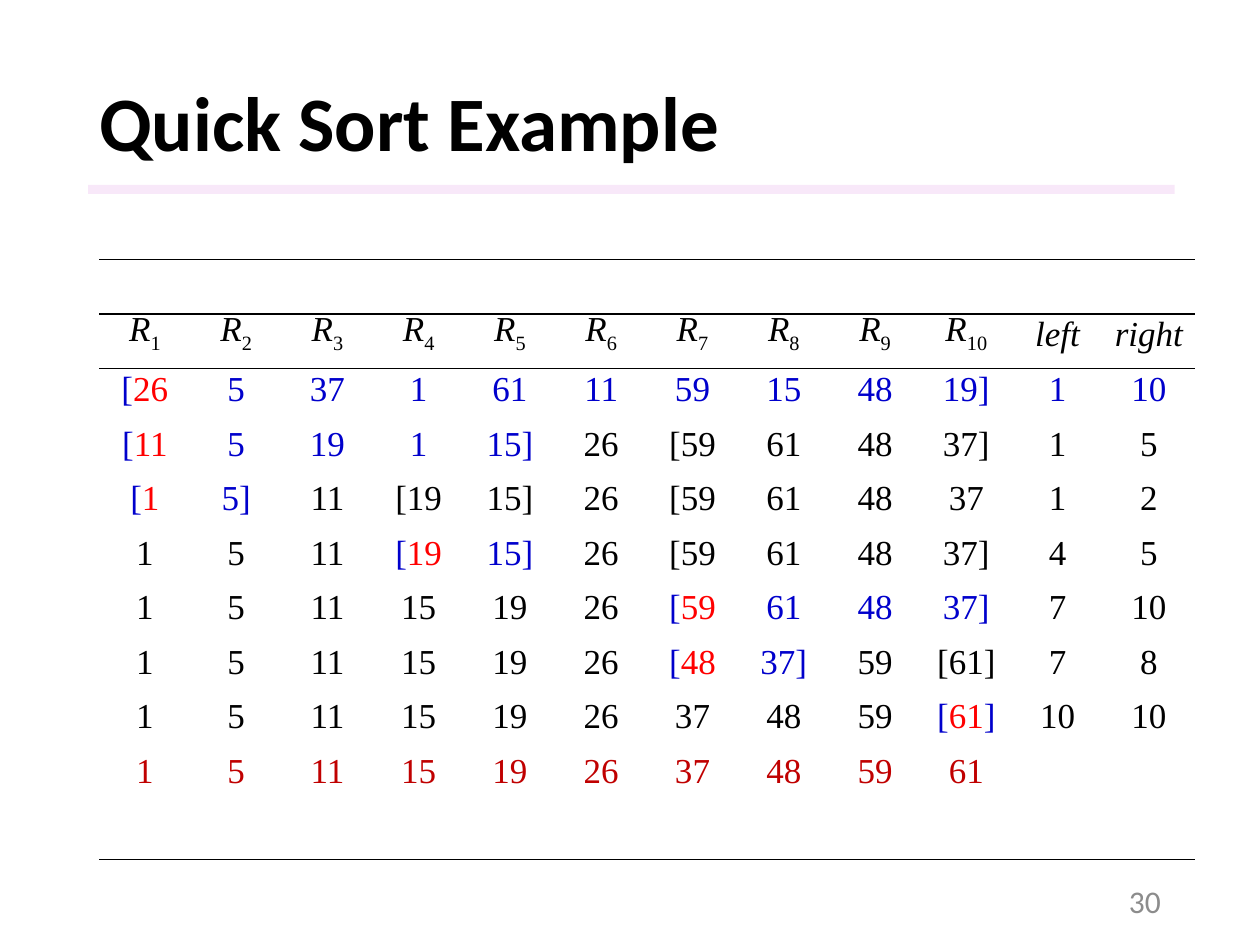
"""Build a slide that traces a quick sort, one pass per table row."""
from lxml import etree
from pptx import Presentation
from pptx import util as u
from pptx.dml.color import RGBColor
from pptx.enum import shapes, text
from pptx.oxml import ns

HUES = {"ink": "000000", "span": "0000CC", "pivot": "FF0000",
        "done": "C00000", "bar": "F3D2F4", "page": "8C8C8C"}
TITLE = "Quick Sort Example"
PAGE = "30"
HEADS = [("R", str(n)) for n in range(1, 11)] + [("left", ""), ("right", "")]
STEPS = [line.split() for line in (
    "[26 5 37 1 61 11 59 15 48 19] 1 10",
    "[11 5 19 1 15] 26 [59 61 48 37] 1 5",
    "[1 5] 11 [19 15] 26 [59 61 48 37 1 2",
    "1 5 11 [19 15] 26 [59 61 48 37] 4 5",
    "1 5 11 15 19 26 [59 61 48 37] 7 10",
    "1 5 11 15 19 26 [48 37] 59 [61] 7 8",
    "1 5 11 15 19 26 37 48 59 [61] 10 10",
)]
DONE = "1 5 11 15 19 26 37 48 59 61".split()
ROWS, COLS = 11, 12
WIDE, HIGH = 1.84, 1.1
PLAIN = "{2D5ABB26-0587-4C30-8999-92F81FD0307C}"


def add_run(para, words, size, face, hue):
    run = para.add_run()
    run.text = words
    run.font.size = u.Pt(size)
    run.font.name = face
    run.font.color.rgb = RGBColor.from_string(HUES[hue])
    return run


def add_label(slide, words, place, size, hue, align):
    box = slide.shapes.add_textbox(*map(u.Cm, place))
    frame = box.text_frame
    frame.word_wrap = True
    frame.vertical_anchor = text.MSO_ANCHOR.MIDDLE
    para = frame.paragraphs[0]
    para.alignment = align
    return add_run(para, words, size, "Calibri", hue)


def add_bar(slide):
    bar = slide.shapes.add_shape(shapes.MSO_SHAPE.RECTANGLE,
                                 *map(u.Cm, (1.78, 3.73, 21.9, 0.18)))
    bar.shadow.inherit = False
    bar.line.fill.background()
    bar.fill.solid()
    bar.fill.fore_color.rgb = RGBColor.from_string(HUES["bar"])
    tone = bar.fill._xPr.find(".//" + ns.qn("a:srgbClr"))
    etree.SubElement(tone, ns.qn("a:alpha"), val="50000")


def add_edge(cell, side):
    edge = etree.SubElement(cell._tc.get_or_add_tcPr(), ns.qn("a:" + side), w="12700")
    fill = etree.SubElement(edge, ns.qn("a:solidFill"))
    etree.SubElement(fill, ns.qn("a:srgbClr"), val=HUES["ink"])


def fill_cell(cell, parts):
    cell.margin_left = cell.margin_right = u.Cm(0.18)
    cell.margin_top = cell.margin_bottom = 0
    cell.vertical_anchor = text.MSO_ANCHOR.MIDDLE
    para = cell.text_frame.paragraphs[0]
    para.alignment = text.PP_ALIGN.CENTER
    para.line_spacing = u.Pt(15)
    return [add_run(para, words, 20, "Times New Roman", hue)
            for words, hue in parts if words]


def split_step(step, first):
    """Colour the active span, with its first number as the pivot."""
    left, right = map(int, step[-2:])
    for col, word in enumerate(step, 1):
        if col == left:
            num = word.strip("[]")
            head, tail = word.split(num)
            yield [(head, "span"), (num, "pivot"), (tail, "span")]
        else:
            yield [(word, "span" if first or left < col <= right else "ink")]


def add_grid(slide):
    grid = slide.shapes.add_table(ROWS, COLS, u.Cm(2), u.Cm(5.23),
                                  u.Cm(WIDE * COLS), u.Cm(HIGH * ROWS)).table
    grid.first_row = grid.horz_banding = False
    grid._tbl.tblPr.find(ns.qn("a:tableStyleId")).text = PLAIN
    for col in grid.columns:
        col.width = u.Cm(WIDE)
    for row in grid.rows:
        row.height = u.Cm(HIGH)
    for col, (name, sub) in enumerate(HEADS):
        for row, side in ((0, "lnT"), (0, "lnB"), (1, "lnT"), (ROWS - 1, "lnB")):
            add_edge(grid.cell(row, col), side)
        runs = fill_cell(grid.cell(1, col), [(name, "ink"), (sub, "ink")])
        runs[0].font.italic = True
        for run in runs[1:]:
            run._r.get_or_add_rPr().set("baseline", "-25000")
    lines = [split_step(step, num == 0) for num, step in enumerate(STEPS)]
    lines.append([[(word, "done")] for word in DONE])
    for row, line in enumerate(lines, 2):
        for col, parts in enumerate(line):
            fill_cell(grid.cell(row, col), parts)
    for cell in grid.iter_cells():
        cell.fill.background()


def main():
    deck = Presentation()
    deck.slide_width, deck.slide_height = u.Cm(25.4), u.Cm(19.05)
    slide = deck.slides.add_slide(deck.slide_layouts[6])
    add_bar(slide)
    title = add_label(slide, TITLE, (1.75, 1.02, 21.9, 2.82), 44, "ink",
                      text.PP_ALIGN.LEFT)
    title.font.bold = True
    add_grid(slide)
    add_label(slide, PAGE, (17.93, 17.65, 5.72, 1.02), 18, "page",
              text.PP_ALIGN.RIGHT)
    deck.save("out.pptx")


if __name__ == "__main__":
    main()
